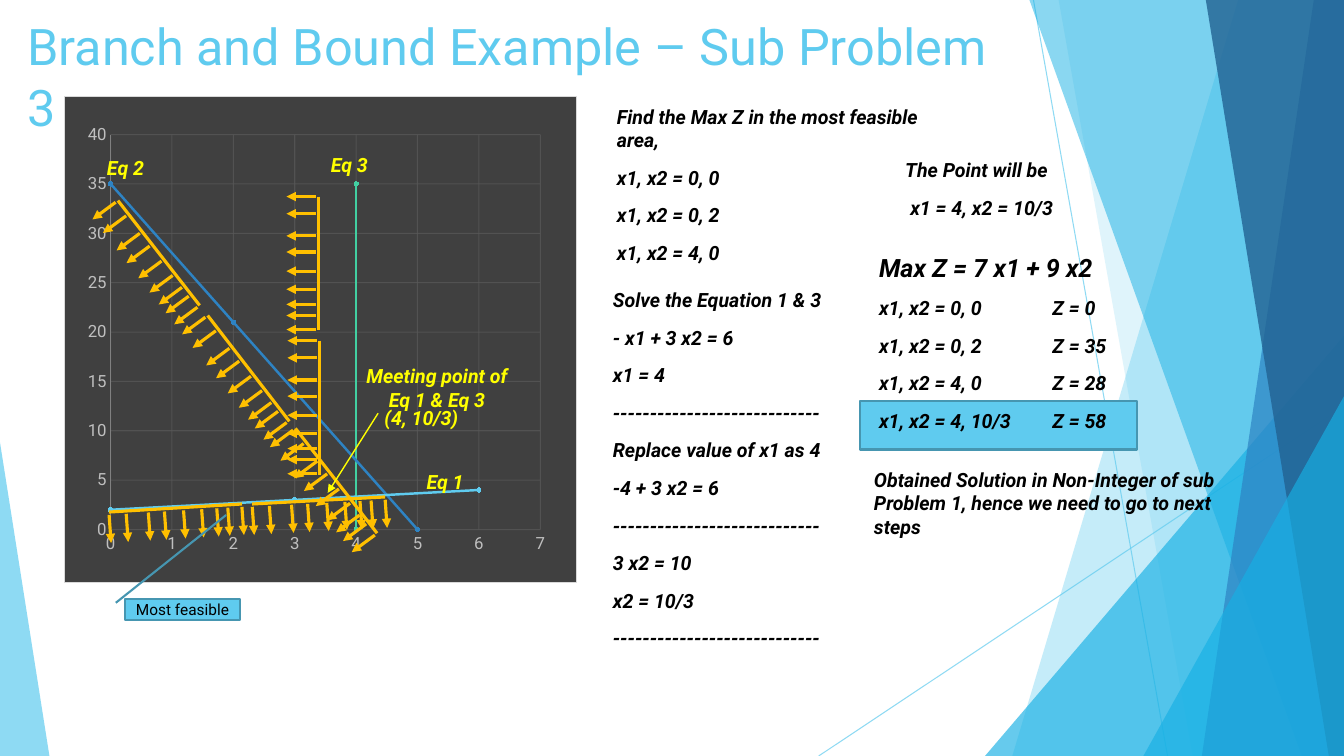
from math import hypot
from lxml.etree import SubElement
from pptx import Presentation
from pptx.chart.data import XyChartData
from pptx.dml.color import RGBColor
from pptx.enum.chart import XL_CHART_TYPE, XL_MARKER_STYLE, XL_TICK_MARK
from pptx.enum.shapes import MSO_CONNECTOR, MSO_SHAPE
from pptx.enum.text import MSO_ANCHOR, MSO_AUTO_SIZE, PP_ALIGN
from pptx.oxml import parse_xml
from pptx.oxml.ns import nsdecls, qn
from pptx.util import Inches, Pt

FONT = "Roboto"
COLORS = {
    "sky": "5FCBEF", "azure": "17B0E4", "blue": "2E83C3", "navy": "226292",
    "edge": "4696B1", "panel": "404040", "panel_edge": "D9D9D9", "grid": "595959",
    "axis": "808080", "ticks": "BFBFBF", "amber": "FFC000", "yellow": "FFFF00",
    "black": "000000", "green": "42D0A2", "pale_sky": "9FE0F5",
    "pale_blue": "7CB5E0", "pale_green": "8EE3C7",
}
TITLE = "Branch and Bound Example – Sub Problem 3"
RULE = "-" * 28

RAYS = [((10.25, 0), (11.58, 7.5)), ((13.33, 4.03), (8.12, 7.5))]
FACETS = [
    ([(12.28, 0), (13.33, 0), (13.33, 7.5), (10.04, 7.5)], "sky", 36),
    ([(10.5, 0), (13.33, 0), (13.33, 7.5), (11.83, 7.5)], "sky", 20),
    ((9.77, 3.33, 3.56, 4.17, 1), "azure", 66),
    ([(10.21, 0), (13.33, 0), (13.33, 7.5), (12.91, 7.5)], "azure", 50),
    ([(13.03, 0), (13.33, 0), (13.33, 7.5), (11.92, 7.5)], "blue", 70),
    ([(11.96, 0), (13.33, 0), (13.33, 7.5), (13.18, 7.5)], "navy", 80),
    ((11.34, 3.93, 1.99, 3.57, 1), "azure", 66),
    ((0, 4.39, 0.49, 3.11, 0), "sky", 70),
]
X1_VALUES = [0, 3, 6, 5, 0, 2, 4, 4]
EQUATIONS = [
    ("Series 1", [2, 3, 4, None, None, None, None, None], "sky", "pale_sky"),
    ("Series 2", [None, None, None, 0, 35, 21, None, None], "blue", "pale_blue"),
    ("Series 3", [None, None, None, None, None, None, 35, 0], "green", "pale_green"),
]
CHART_LABELS = [
    ((4.07, 4.57, 0.69, 0.41), "Eq 1"),
    ((0.9, 1.46, 0.69, 0.41), "Eq 2"),
    ((3.12, 1.43, 0.69, 0.41), "Eq 3"),
    ((3.48, 3.64, 1.71, 0.41), "Meeting point of Eq 1 & Eq 3"),
    ((3.6, 3.98, 1.16, 0.33), "(4, 10/3)"),
]
TOOTH_OFFSETS = [0, 0.17, 0.39, 0.55, 0.74, 0.92, 1.07, 1.18, 1.32]
TOOTH_GAP = 0.1
DOWN, LEFT, SLANT = (0.02, 0.28), (-0.29, 0), (-0.23, 0.17)
COMBS = [
    ((1.08, 5.08), (2.4, 5), DOWN),
    ((3.17, 3.38), (3.17, 4.71), LEFT),
    ((2.5, 5), (3.82, 4.93), DOWN),
    ((1.17, 1.99), (1.98, 3.03), SLANT),
    ((2.06, 3.13), (2.87, 4.18), SLANT),
    ((2.93, 4.25), (3.74, 5.29), SLANT),
    ((3.16, 1.95), (3.16, 3.27), LEFT),
]
NOTES = [
    ((6.02, 0.99, 3.64, 1.76), ["Find the Max Z in the most feasible area,",
                                "x1, x2 = 0, 0", "x1, x2 = 0, 2", "x1, x2 = 4, 0"]),
    ((5.98, 2.81, 2.71, 3.48), ["Solve the Equation 1 & 3", "- x1 + 3 x2 = 6", "x1 = 4", RULE,
                                "Replace value of x1 as 4", "-4 + 3 x2 = 6", RULE,
                                "3 x2 = 10", "x2 = 10/3", RULE]),
    ((8.88, 1.52, 2.71, 0.95), ["The Point will be", "x1 = 4, x2 = 10/3"]),
    ((8.57, 4.59, 3.64, 0.73), ["Obtained Solution in Non-Integer of sub Problem 1, "
                                "hence we need to go to next steps"]),
    ((10.34, 2.89, 0.9, 1.56), ["Z = 0", "Z = 35", "Z = 28", "Z = 58"]),
    ((8.62, 2.45, 2.91, 2.1), ["Max Z = 7 x1 + 9 x2", "x1, x2 = 0, 0", "x1, x2 = 0, 2",
                               "x1, x2 = 4, 0", "x1, x2 = 4, 10/3"]),
]


def rgb(name):
    return RGBColor.from_string(COLORS[name])


def paint(fill, name, opacity=100):
    fill.solid()
    fill.fore_color.rgb = rgb(name)
    if opacity < 100:
        color = fill._xPr.find(".//" + qn("a:srgbClr"))
        SubElement(color, qn("a:alpha"), val=str(opacity * 1000))


def stroke(line, name, width, opacity=100):
    line.width = Pt(width)
    paint(line.fill, name, opacity)


def set_font(font, size, name, strong=False):
    font.name, font.size, font.color.rgb = FONT, Pt(size), rgb(name)
    font.bold = font.italic = strong


def connect(shapes, start, end, name, width, opacity=100, arrow=False):
    link = shapes.add_connector(MSO_CONNECTOR.STRAIGHT, *map(Inches, start + end))
    stroke(link.line, name, width, opacity)
    if arrow:
        SubElement(link.line._get_or_add_ln(), qn("a:tailEnd"), type="triangle")
    SubElement(link._element.spPr, qn("a:effectLst"))


def add_preset(shapes, kind, place, fill, opacity=100):
    shape = shapes.add_shape(kind, *map(Inches, place))
    shape.shadow.inherit = False
    paint(shape.fill, fill, opacity)
    return shape


def add_text(shapes, place, lines, name, centred=False):
    frame = shapes.add_textbox(*map(Inches, place)).text_frame
    frame.word_wrap = True
    frame.vertical_anchor = MSO_ANCHOR.MIDDLE if centred else MSO_ANCHOR.TOP
    for index, line in enumerate(lines):
        paragraph = frame.paragraphs[0] if index == 0 else frame.add_paragraph()
        paragraph.text = line
        paragraph.alignment = PP_ALIGN.CENTER if centred else PP_ALIGN.LEFT
        if index:
            paragraph.space_before = Pt(10)
        if line == "x1 = 4, x2 = 10/3":
            paragraph._p.get_or_add_pPr().set("marL", str(Inches(0.05)))
        set_font(paragraph.font, 18 if line.startswith("Max Z") else 14, name, True)


def add_facet(shapes, outline, name, opacity):
    if isinstance(outline, tuple):
        facet = add_preset(shapes, MSO_SHAPE.ISOSCELES_TRIANGLE, outline[:4], name, opacity)
        facet.adjustments[0] = outline[4]
    else:
        corners = [(Inches(x), Inches(y)) for x, y in outline]
        builder = shapes.build_freeform(*corners[0])
        builder.add_line_segments(corners[1:], close=True)
        facet = builder.convert_to_shape()
        facet.shadow.inherit = False
        paint(facet.fill, name, opacity)
    facet.line.fill.background()


def add_comb(shapes, start, end, tooth):
    comb = shapes.add_group_shape().shapes
    connect(comb, start, end, "amber", 2.25)
    length = hypot(end[0] - start[0], end[1] - start[1])
    for offset in TOOTH_OFFSETS:
        root = tuple(a + (b - a) * offset / length + t * TOOTH_GAP
                     for a, b, t in zip(start, end, tooth))
        tip = tuple(r + t for r, t in zip(root, tooth))
        connect(comb, root, tip, "amber", 2.25, arrow=True)


def add_graph(shapes):
    data = XyChartData()
    for name, x2_values, _, _ in EQUATIONS:
        series = data.add_series(name)
        for x1, x2 in zip(X1_VALUES, x2_values):
            series.add_data_point(x1, x2)
    place = map(Inches, (0.63, 0.95, 5.09, 4.83))
    chart = shapes.add_chart(XL_CHART_TYPE.XY_SCATTER_SMOOTH, *place, data).chart
    chart.has_legend = chart.has_title = False
    set_font(chart.font, 10, "black")
    chart.plots[0].vary_by_categories = False
    for series, (_, _, name, dot) in zip(chart.plots[0].series, EQUATIONS):
        series.smooth = True
        stroke(series.format.line, name, 1.75)
        series.marker.style, series.marker.size = XL_MARKER_STYLE.CIRCLE, 3
        paint(series.marker.format.fill, dot)
        stroke(series.marker.format.line, name, 0.75)
    for axis, top, step in ((chart.category_axis, 7, 1), (chart.value_axis, 40, 5)):
        axis.minimum_scale, axis.maximum_scale, axis.major_unit = 0, top, step
        axis.major_tick_mark = axis.minor_tick_mark = XL_TICK_MARK.NONE
        axis.has_major_gridlines = True
        stroke(axis.major_gridlines.format.line, "grid", 0.75, 75)
        set_font(axis.tick_labels.font, 12, "ticks")
    chart.category_axis.format.line.fill.background()
    stroke(chart.value_axis.format.line, "axis", 0.75)

    space = chart._chartSpace
    plot_area = space.chart.plotArea
    for layout in plot_area.findall(qn("c:layout")):
        plot_area.remove(layout)
    plot_area.insert(0, parse_xml(
        f'<c:layout {nsdecls("c")}><c:manualLayout><c:layoutTarget val="inner"/>'
        '<c:xMode val="edge"/><c:yMode val="edge"/><c:x val="0.091"/><c:y val="0.079"/>'
        '<c:w val="0.839"/><c:h val="0.813"/></c:manualLayout></c:layout>'))
    space.chart.addnext(parse_xml(
        f'<c:spPr {nsdecls("c", "a")}><a:solidFill><a:srgbClr val="{COLORS["panel"]}"/>'
        f'</a:solidFill><a:ln w="9525"><a:solidFill><a:srgbClr val="{COLORS["panel_edge"]}"/>'
        '</a:solidFill></a:ln></c:spPr>'))


def main():
    deck = Presentation()
    deck.slide_width, deck.slide_height = Inches(13.33), Inches(7.5)
    slide = deck.slides.add_slide(deck.slide_layouts[5])
    shapes = slide.shapes

    title = shapes.title
    title.left, title.top, title.width, title.height = map(Inches, (0.17, 0.1, 10.07, 0.8))
    title.text_frame.text = TITLE
    title.text_frame.auto_size = MSO_AUTO_SIZE.NONE
    title.text_frame.vertical_anchor = MSO_ANCHOR.TOP
    title.text_frame.paragraphs[0].alignment = PP_ALIGN.LEFT
    set_font(title.text_frame.paragraphs[0].font, 36, "sky")

    for start, end in RAYS:
        connect(shapes, start, end, "sky", 0.75, 70)
    for facet in FACETS:
        add_facet(shapes, *facet)
    best = add_preset(shapes, MSO_SHAPE.RECTANGLE, (8.53, 3.98, 2.75, 0.48), "sky")
    stroke(best.line, "edge", 1.5)

    add_graph(shapes)
    for place, label in CHART_LABELS:
        add_text(shapes, place, [label], "yellow", centred=True)
    for comb in COMBS:
        add_comb(shapes, *comb)
    connect(shapes, (3.75, 4.1), (3.25, 4.89), "yellow", 1, arrow=True)

    feasible = add_preset(shapes, MSO_SHAPE.LINE_CALLOUT_1, (1.24, 5.94, 1.14, 0.21), "sky")
    for index, value in enumerate((0.19, -0.08, -3.96, 0.88)):
        feasible.adjustments[index] = value
    stroke(feasible.line, "edge", 1.5)
    feasible.text_frame.text = "Most feasible"
    feasible.text_frame.vertical_anchor = MSO_ANCHOR.MIDDLE
    feasible.text_frame.paragraphs[0].alignment = PP_ALIGN.CENTER
    set_font(feasible.text_frame.paragraphs[0].font, 11, "black")

    for place, lines in NOTES:
        add_text(shapes, place, lines, "black")
    deck.save("out.pptx")


if __name__ == "__main__":
    main()
